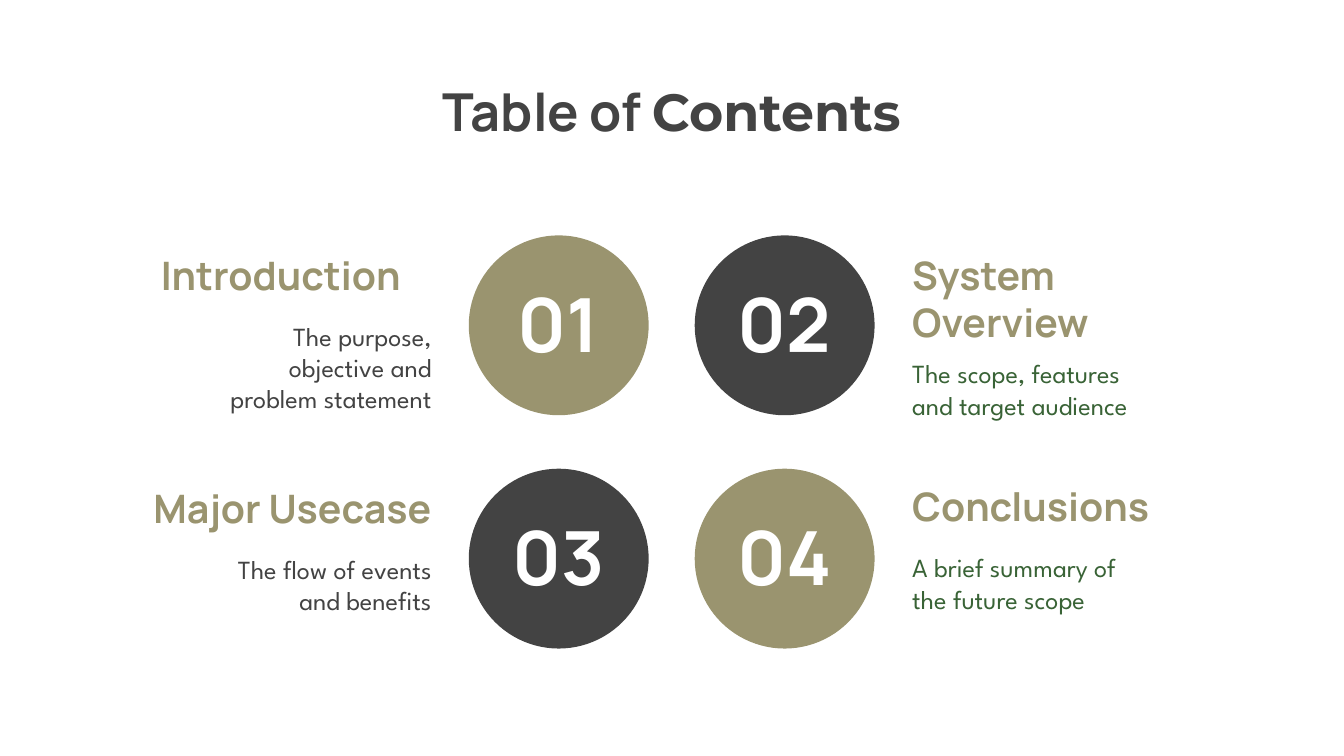
import pptx
import pptx.util
import pptx.dml.color
import pptx.enum.shapes
import pptx.enum.text

Cm = pptx.util.Cm
ALIGN = pptx.enum.text.PP_ALIGN
ANCHOR = pptx.enum.text.MSO_ANCHOR

# Content: heading box is (left, top offset from row, width, alignment)
TITLE = [("Table of ", "title"), ("Contents", "title_accent")]
SECTIONS = [
    dict(number="01", fill="olive", heading="Introduction",
         text="The purpose, objective and problem statement",
         box=(2.79, 0.05, 5.61, ALIGN.LEFT), text_dy=1.35),
    dict(number="02", fill="dark", heading="System Overview",
         text="The scope, features and target audience",
         box=(16.99, 0.05, 6.45, ALIGN.LEFT), text_dy=2.06),
    dict(number="03", fill="dark", heading="Major Usecase",
         text="The flow of events and benefits",
         box=(1.57, 0.05, 6.83, ALIGN.RIGHT), text_dy=1.35),
    dict(number="04", fill="olive", heading="Conclusions",
         text="A brief summary of the future scope",
         box=(16.99, 0, 6.45, ALIGN.LEFT), text_dy=1.32),
]

THEME = {
    "colors": {"dark": "434343", "olive": "9A946F", "green": "396336", "white": "FFFFFF"},
    "styles": {
        "title": dict(name="Manrope", size=28, bold=True, color="dark"),
        "title_accent": dict(name="Montserrat", size=28, bold=True, color="dark"),
        "number": dict(name="Manrope", size=40, bold=True, color="white"),
        "heading": dict(name="Manrope", size=21, bold=True, color="olive"),
        "text_left": dict(name="League Spartan", size=14, bold=False, color="dark"),
        "text_right": dict(name="League Spartan", size=14, bold=False, color="green"),
    },
}

# Grid, in cm
COLUMNS = (8.86, 13.13)
ROWS = (4.45, 8.86)
CIRCLE = 3.4
NUMBER_W, NUMBER_H = 3.25, 1.98
TEXT_LEFTS = (3.48, 16.99)
TEXT_W, TEXT_H = 4.93, 1.98
HEADING_H = 1.6


def color(name):
    return pptx.dml.color.RGBColor.from_string(THEME["colors"][name])


def add_text(s, box, runs, align, anchor=ANCHOR.TOP):
    tf = s.shapes.add_textbox(*map(Cm, box)).text_frame
    frame = dict(word_wrap=True, vertical_anchor=anchor, margin_left=Cm(0.25),
                 margin_right=Cm(0.25), margin_top=Cm(0.25), margin_bottom=Cm(0.25))
    for key, value in frame.items():
        setattr(tf, key, value)
    p = tf.paragraphs[0]
    p.alignment = align
    for text, style in runs:
        r = p.add_run()
        r.text = text
        values = dict(THEME["styles"][style])
        r.font.color.rgb = color(values.pop("color"))
        values["size"] = pptx.util.Pt(values["size"])
        for key, value in values.items():
            setattr(r.font, key, value)


def add_circle(s, left, top, fill):
    sp = s.shapes.add_shape(pptx.enum.shapes.MSO_SHAPE.OVAL,
                            Cm(left), Cm(top), Cm(CIRCLE), Cm(CIRCLE))
    sp.shadow.inherit = False
    sp.fill.solid()
    sp.fill.fore_color.rgb = color(fill)
    sp.line.fill.background()


def add_section(s, index, section):
    row, col = divmod(index, len(COLUMNS))
    left, top = COLUMNS[col], ROWS[row]

    # Numbered circle
    add_circle(s, left, top, section["fill"])
    number_box = (left + (CIRCLE - NUMBER_W) / 2, top + 0.66, NUMBER_W, NUMBER_H)
    add_text(s, number_box, [(section["number"], "number")], ALIGN.CENTER, ANCHOR.MIDDLE)

    # Heading and description
    x, dy, width, align = section["box"]
    add_text(s, (x, top + dy, width, HEADING_H), [(section["heading"], "heading")], align)
    style, text_align = (("text_left", ALIGN.RIGHT), ("text_right", ALIGN.LEFT))[col]
    add_text(s, (TEXT_LEFTS[col], top + section["text_dy"], TEXT_W, TEXT_H),
             [(section["text"], style)], text_align)


def main():
    prs = pptx.Presentation()
    prs.slide_width, prs.slide_height = Cm(25.4), Cm(14.29)
    s = prs.slides.add_slide(prs.slide_layouts[6])
    add_text(s, (0.86, 1.24, 23.67, 1.6), TITLE, ALIGN.CENTER)
    for index, section in enumerate(SECTIONS):
        add_section(s, index, section)
    prs.save("out.pptx")


if __name__ == "__main__":
    main()
